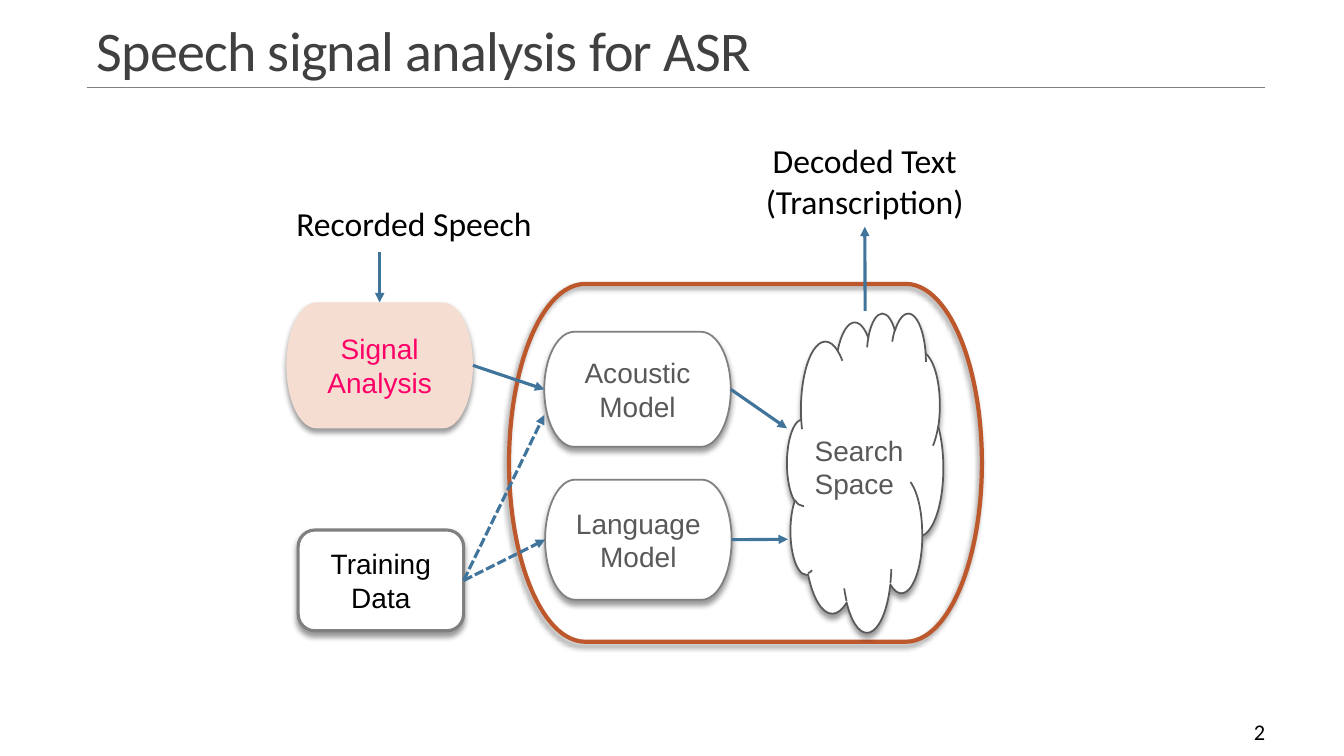
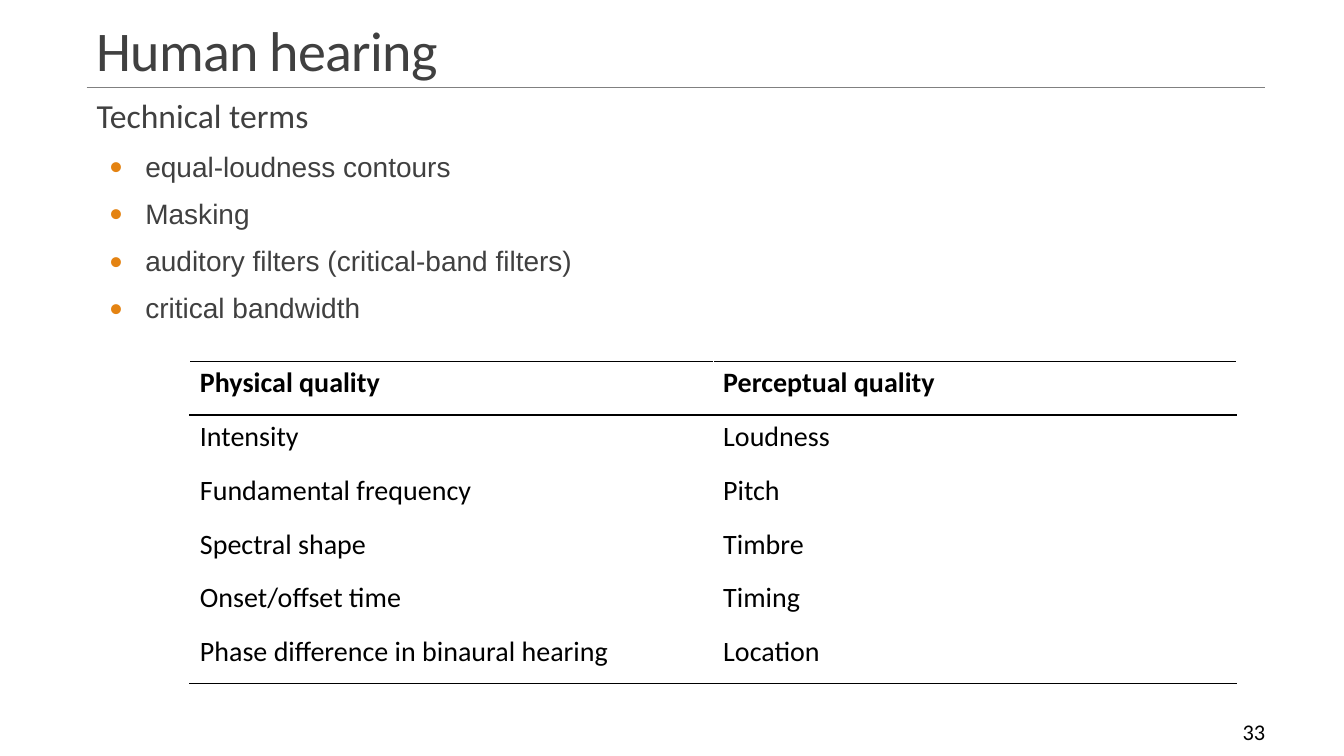
from lxml.etree import SubElement
from pptx import Presentation
from pptx.dml.color import RGBColor
from pptx.enum.dml import MSO_LINE
from pptx.enum.shapes import MSO_CONNECTOR, MSO_SHAPE
from pptx.enum.text import MSO_ANCHOR, PP_ALIGN
from pptx.oxml.ns import qn
from pptx.util import Emu, Pt

COLUMNS, ROWS = 160, 90
UNIT = 76200  # one square grid cell, in EMU
TOP, LEFT, BOTTOM, RIGHT = range(4)

BLACK, WHITE, GREY, DARK_GREY = "000000", "FFFFFF", "808080", "595959"
INK, BLUE, RUST, ORANGE = "404040", "40749B", "BD582C", "E48312"
PEACH, PINK = "F5DDD2", "FF0066"
color = RGBColor.from_string


def write(shape, lines, size, font, ink, align=PP_ALIGN.LEFT, anchor=MSO_ANCHOR.TOP, bold=False):
    """Fill a shape or table cell with one paragraph per line; return the paragraphs."""
    frame = shape.text_frame
    frame.word_wrap = True
    frame.vertical_anchor = anchor
    for position, line in enumerate(lines):
        para = frame.add_paragraph() if position else frame.paragraphs[0]
        para.alignment = align
        span = para.add_run()
        span.text = line
        span.font.size, span.font.name, span.font.bold = Pt(size), font, bold
        span.font.color.rgb = color(ink)
    return frame.paragraphs


def draw_line(page, start, end, ink, width):
    """Draw a shadowless straight line between two grid points."""
    line = page.shapes.add_connector(
        MSO_CONNECTOR.STRAIGHT, *[Emu(round(value * UNIT)) for value in (*start, *end)])
    line.line.color.rgb = color(ink)
    line.line.width = Pt(width)
    SubElement(line._element.spPr, qn("a:effectLst"))
    return line


deck = Presentation()
deck.slide_width, deck.slide_height = Emu(COLUMNS * UNIT), Emu(ROWS * UNIT)

# Title, rule and page number on every page
pages = []
for heading, number in (("Speech signal analysis for ASR", "2"), ("Human hearing", "33")):
    page = deck.slides.add_slide(deck.slide_layouts[6])
    draw_line(page, (10.3, 10.4), (150.6, 10.4), GREY, 0.5)
    box = page.shapes.add_textbox(*[Emu(round(n * UNIT)) for n in (10.3, 1.6, 140.4, 8.9)])
    para = write(box, [heading], 40, "Calibri", INK, anchor=MSO_ANCHOR.BOTTOM)[0]
    para.line_spacing = 0.85
    para.runs[0]._r.get_or_add_rPr().set("spc", "-50")
    box = page.shapes.add_textbox(*[Emu(round(n * UNIT)) for n in (134.6, 84.7, 17.2, 4.8)])
    write(box, [number], 16, "Calibri", BLACK, PP_ALIGN.RIGHT, MSO_ANCHOR.MIDDLE)
    pages.append(page)
diagram_page, hearing_page = pages

# Recognition diagram: blocks
TERMINATOR = MSO_SHAPE.FLOWCHART_TERMINATOR
blocks = {}
for name, kind, place, fill, outline, width, ink, angle in (
    ("Signal Analysis", TERMINATOR, (34.1, 36, 22.2, 15), PEACH, None, 0, PINK, 90),
    ("Training Data", MSO_SHAPE.ROUNDED_RECTANGLE, (35.5, 63.1, 19.7, 12),
     WHITE, GREY, 2.25, BLACK, 90),
    ("decoder", TERMINATOR, (60.6, 33.8, 56.3, 42.6), None, RUST, 3, None, 135),
    ("Acoustic Model", TERMINATOR, (64.8, 39.5, 22.2, 13.7), WHITE, GREY, 1.25, DARK_GREY, 90),
    ("Language Model", TERMINATOR, (64.9, 57.1, 22.2, 14.3), WHITE, GREY, 1.25, DARK_GREY, 90),
    ("cloud", MSO_SHAPE.CLOUD, (93.7, 37.2, 18.6, 38), WHITE, DARK_GREY, 1.25, None, 90),
):
    block = diagram_page.shapes.add_shape(kind, *[Emu(round(n * UNIT)) for n in place])
    if fill:
        block.fill.solid()
        block.fill.fore_color.rgb = color(fill)
    else:
        block.fill.background()
    if outline:
        block.line.color.rgb = color(outline)
        block.line.width = Pt(width)
    else:
        block.line.fill.background()
    block.shadow.inherit = False
    effects = block._element.spPr.find(qn("a:effectLst"))
    shadow = SubElement(effects, qn("a:outerShdw"), blurRad=str(Pt(4)), dist=str(Pt(3)),
                        dir=str(angle * 60000), rotWithShape="0")
    tint = SubElement(shadow, qn("a:srgbClr"), val=BLACK)
    SubElement(tint, qn("a:alpha"), val="40000")
    if ink:
        write(block, [name], 20, "Arial", ink, PP_ALIGN.CENTER, MSO_ANCHOR.MIDDLE)
    blocks[name] = block

# Recognition diagram: labels
for lines, place, size, font, ink, align in (
    (["Recorded Speech"], (34.1, 23.6, 32.9, 6), 24, "Calibri", BLACK, PP_ALIGN.LEFT),
    (["Search Space"], (95.8, 51, 13.4, 9.2), 20, "Arial", DARK_GREY, PP_ALIGN.LEFT),
    (["Decoded Text", "(Transcription)"], (86.5, 16.1, 32.9, 10.9), 24, "Calibri", BLACK,
     PP_ALIGN.CENTER),
):
    box = diagram_page.shapes.add_textbox(*[Emu(round(n * UNIT)) for n in place])
    write(box, lines, size, font, ink, align)
    blocks[lines[0]] = box

# Recognition diagram: arrows; an end is a grid point or a block with its side
signal, training = ("Signal Analysis", RIGHT), ("Training Data", RIGHT)
for start, end, dashed in (
    ((45.2, 30), ("Signal Analysis", TOP), False),
    (signal, ("Acoustic Model", LEFT), False),
    (training, (64.8, 49.4), True),
    (training, ("Language Model", LEFT), True),
    (("Acoustic Model", RIGHT), (93.7, 51), False),
    (("Language Model", RIGHT), (93.8, 64.2), False),
    ((103, 37), ("Decoded Text", BOTTOM), False),
):
    start_joined, end_joined = start[0] in blocks, end[0] in blocks
    arrow = draw_line(diagram_page, (0, 0) if start_joined else start,
                      (0, 0) if end_joined else end, BLUE, 2.25)
    if start_joined:
        arrow.begin_connect(blocks[start[0]], start[1])
    if end_joined:
        arrow.end_connect(blocks[end[0]], end[1])
    if dashed:
        arrow.line.dash_style = MSO_LINE.SQUARE_DOT
    SubElement(arrow.line._get_or_add_ln(), qn("a:tailEnd"), type="triangle")

# Technical terms
box = hearing_page.shapes.add_textbox(*[Emu(round(n * UNIT)) for n in (10.3, 11.3, 140.4, 30)])
box.text_frame.margin_left = box.text_frame.margin_right = 0
terms = ["Technical terms", "equal-loudness contours", "Masking",
         "auditory filters (critical-band filters)", "critical bandwidth"]
for position, para in enumerate(write(box, terms, 20, "Arial", INK)):
    para.line_spacing = 0.9
    para.space_after = Pt(6)
    properties = para._p.get_or_add_pPr()
    if position == 0:
        properties.set("marL", str(round(1.2 * UNIT)))
        para.runs[0].font.size, para.runs[0].font.name = Pt(24), "Calibri"
        continue
    para.level = 1
    para.space_before = Pt(6)
    properties.set("marL", str(7 * UNIT))
    properties.set("indent", str(round(-4.3 * UNIT)))
    tint = SubElement(properties, qn("a:buClr"))
    SubElement(tint, qn("a:srgbClr"), val=ORANGE)
    SubElement(properties, qn("a:buFont"), typeface="Calibri")
    SubElement(properties, qn("a:buChar"), char="•")

# Physical and perceptual qualities
qualities = [
    ("Physical quality", "Perceptual quality"),
    ("Intensity", "Loudness"),
    ("Fundamental frequency", "Pitch"),
    ("Spectral shape", "Timbre"),
    ("Onset/offset time", "Timing"),
    ("Phase difference in binaural hearing", "Location"),
]
last = len(qualities) - 1
table = hearing_page.shapes.add_table(
    len(qualities), 2, *[Emu(round(n * UNIT)) for n in (22.6, 43, 124.6, 38.4)]).table
table.first_row = table.horz_banding = False
for row, texts in enumerate(qualities):
    above = BLACK if row <= 1 else WHITE
    below = BLACK if row in (0, last) else WHITE
    for column, text in enumerate(texts):
        cell = table.cell(row, column)
        write(cell, [text], 20, "Calibri", BLACK, bold=row == 0)
        properties = cell._tc.get_or_add_tcPr()
        for side, ink in (("L", WHITE), ("R", WHITE), ("T", above), ("B", below)):
            border = SubElement(properties, qn("a:ln" + side), w=str(Pt(1)))
            SubElement(SubElement(border, qn("a:solidFill")), qn("a:srgbClr"), val=ink)
        cell.fill.background()

deck.save("out.pptx")
